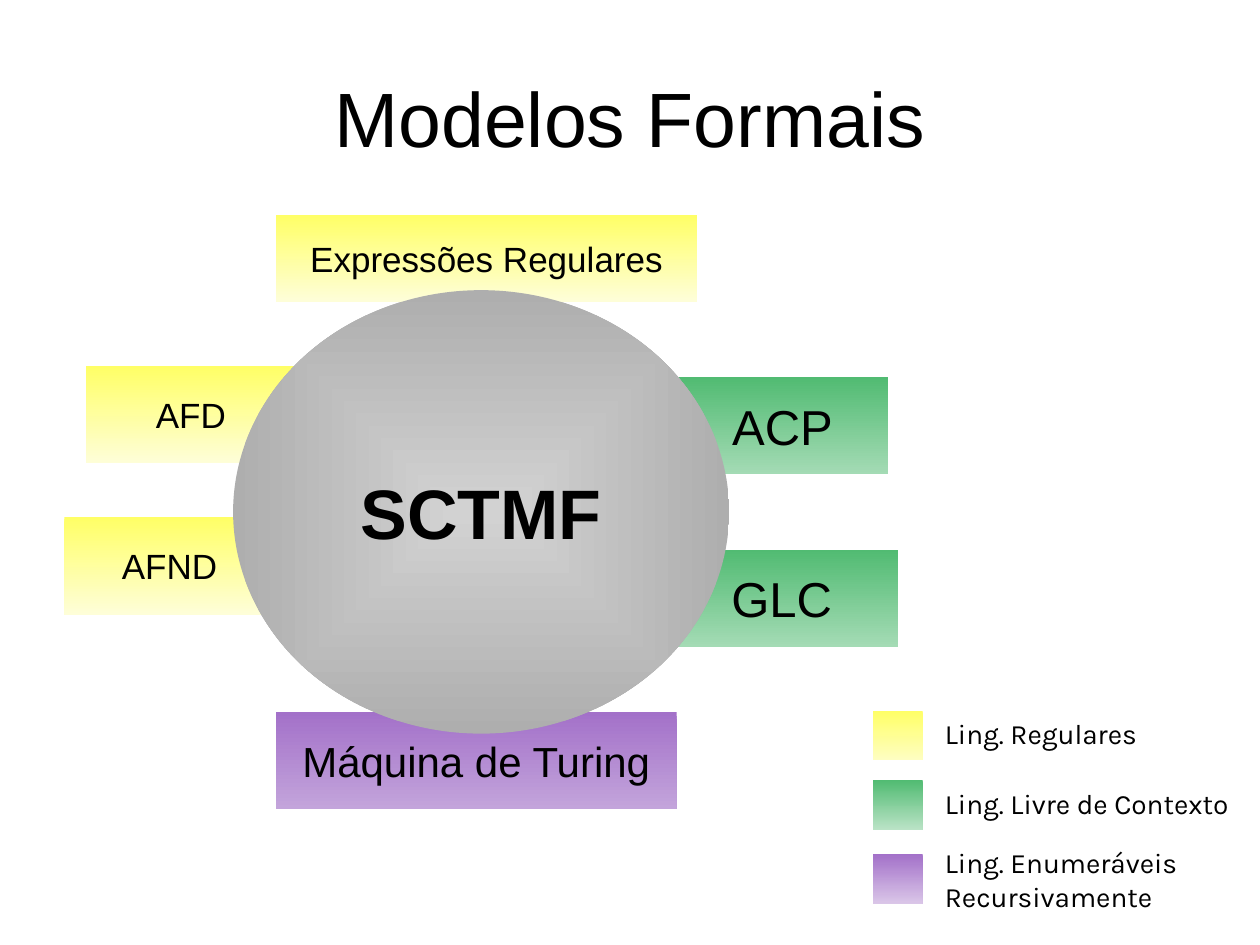
from lxml.etree import SubElement
from pptx import Presentation
from pptx.dml.color import RGBColor
from pptx.enum.shapes import MSO_SHAPE
from pptx.enum.text import MSO_ANCHOR, MSO_AUTO_SIZE, PP_ALIGN
from pptx.oxml.ns import qn
from pptx.util import Cm, Pt

COLORS = {
    "text": "000000",
    "regular": "FFFF66",
    "regular_box": "FEFED8",
    "regular_key": "FEFEC2",
    "context_free": "51BB72",
    "context_free_box": "A4DBB5",
    "context_free_key": "BAE3C6",
    "enumerable": "A371C9",
    "enumerable_box": "C3A4DB",
    "enumerable_key": "DAC6E8",
    "center": "D2D2D2",
    "center_edge": "AEAEAE",
}


class FormalModelsSlide:
    body_font = "Arial"
    legend_font = "Karla"

    def __init__(self, presentation):
        self.slide = presentation.slides.add_slide(presentation.slide_layouts[6])
        self.shapes = self.slide.shapes

    def start_group(self):
        self.shapes = self.slide.shapes.add_group_shape().shapes

    def set_text(self, shape, text, size, font, align, bold=False):
        paragraph = shape.text_frame.paragraphs[0]
        paragraph.text = text
        paragraph.alignment = align
        paragraph.font.name = font
        paragraph.font.size = Pt(size)
        paragraph.font.bold = bold
        paragraph.font.color.rgb = RGBColor.from_string(COLORS["text"])

    def title(self, text, left, top, width, height):
        shape = self.shapes.add_textbox(Cm(left), Cm(top), Cm(width), Cm(height))
        shape.text_frame.word_wrap = True
        shape.text_frame.vertical_anchor = MSO_ANCHOR.MIDDLE
        self.set_text(shape, text, 44, self.body_font, PP_ALIGN.CENTER)

    def gradient_shape(self, kind, left, top, width, height, start, end):
        shape = self.shapes.add_shape(kind, Cm(left), Cm(top), Cm(width), Cm(height))
        shape.shadow.inherit = False
        shape.line.fill.background()
        shape.fill.gradient()
        shape.fill.gradient_angle = 270
        for stop, position, color in zip(shape.fill.gradient_stops, (0, 1), (start, end)):
            stop.position = position
            stop.color.rgb = RGBColor.from_string(COLORS[color])
        return shape

    def label(self, shape, text, size, bold=False):
        shape.text_frame.word_wrap = False
        shape.text_frame.vertical_anchor = MSO_ANCHOR.MIDDLE
        self.set_text(shape, text, size, self.body_font, PP_ALIGN.CENTER, bold)

    def model(self, text, family, size, left, top, width, height=1.96):
        shape = self.gradient_shape(
            MSO_SHAPE.RECTANGLE, left, top, width, height, family, f"{family}_box"
        )
        self.label(shape, text, size)

    def center(self, text, left, top, width, height):
        shape = self.gradient_shape(
            MSO_SHAPE.OVAL, left, top, width, height, "center", "center_edge"
        )
        gradient = shape.element.spPr.find(qn("a:gradFill"))
        gradient.remove(gradient.find(qn("a:lin")))
        radial = SubElement(gradient, qn("a:path"), {"path": "rect"})
        sides = dict.fromkeys("ltrb", "50000")
        SubElement(radial, qn("a:fillToRect"), sides)
        self.label(shape, text, 40, bold=True)

    def legend_entry(self, text, family, key_top, text_top, text_height):
        self.gradient_shape(
            MSO_SHAPE.RECTANGLE, 17.6, key_top, 1, 1, family, f"{family}_key"
        )
        shape = self.shapes.add_textbox(Cm(18.8), Cm(text_top), Cm(6.6), Cm(text_height))
        shape.text_frame.word_wrap = True
        shape.text_frame.auto_size = MSO_AUTO_SIZE.SHAPE_TO_FIT_TEXT
        self.set_text(shape, text, 16, self.legend_font, PP_ALIGN.LEFT)


def main():
    presentation = Presentation()
    presentation.slide_width = Cm(25.4)
    presentation.slide_height = Cm(19.05)
    slide = FormalModelsSlide(presentation)
    slide.title("Modelos Formais", 1.27, 0.76, 22.86, 3.18)

    slide.start_group()
    slide.model("AFD", "regular", 20, 1.73, 7.38, 4.24)
    slide.model("AFND", "regular", 20, 1.3, 10.43, 4.24)
    slide.model("Expressões Regulares", "regular", 20, 5.56, 4.33, 8.5, 1.75)
    slide.model("ACP", "context_free", 28, 13.64, 7.6, 4.27)
    slide.model("GLC", "context_free", 28, 13.42, 11.08, 4.68)
    slide.model("Máquina de Turing", "enumerable", 24, 5.56, 14.35, 8.08)
    slide.center("SCTMF", 4.7, 5.85, 10, 8.94)

    slide.start_group()
    slide.legend_entry("Ling. Regulares", "regular", 14.33, 14.33, 0.94)
    slide.legend_entry("Ling. Livre de Contexto", "context_free", 15.73, 15.73, 0.94)
    slide.legend_entry(
        "Ling. Enumeráveis Recursivamente", "enumerable", 17.22, 16.92, 1.63
    )
    presentation.save("out.pptx")


if __name__ == "__main__":
    main()
